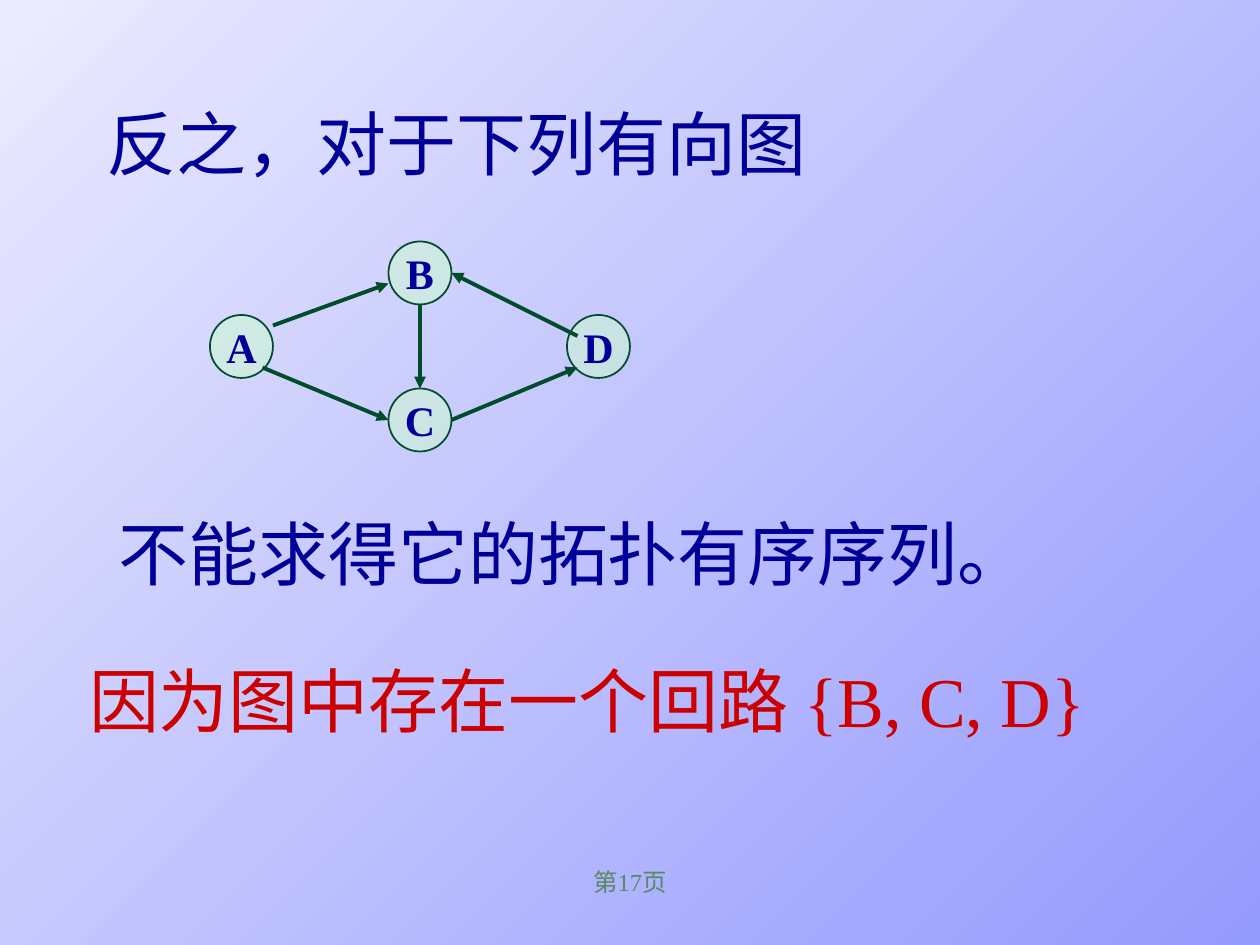
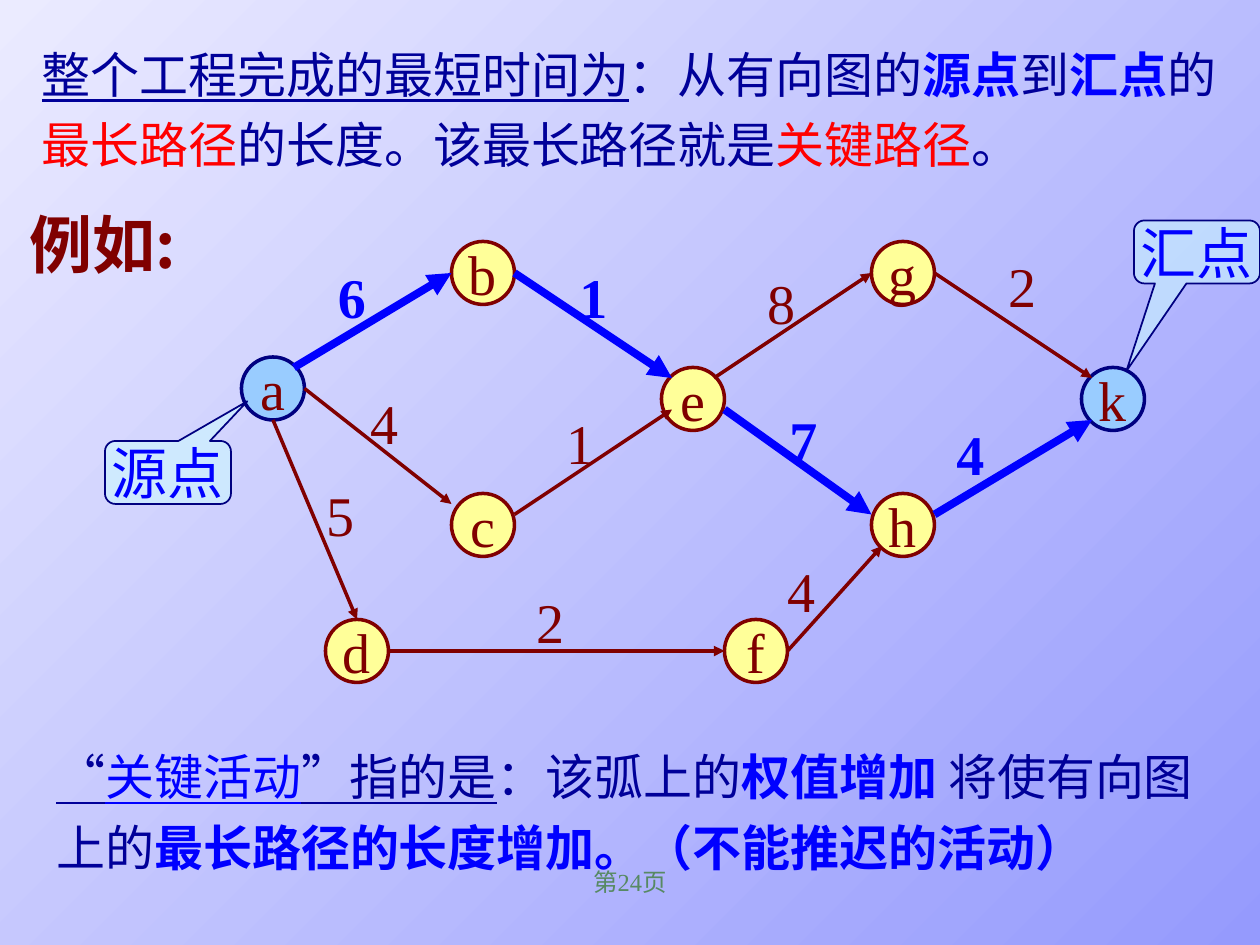
from dataclasses import dataclass
from typing import NamedTuple

from pptx import Presentation
from pptx.dml.color import RGBColor
from pptx.enum.shapes import MSO_CONNECTOR, MSO_SHAPE
from pptx.enum.text import MSO_ANCHOR, MSO_AUTO_SIZE, PP_ALIGN
from pptx.oxml.ns import qn
from pptx.util import Inches, Pt

OVAL = MSO_SHAPE.OVAL
CALLOUT = MSO_SHAPE.ROUNDED_RECTANGULAR_CALLOUT
STRAIGHT = MSO_CONNECTOR.STRAIGHT
LEFT, CENTER = PP_ALIGN.LEFT, PP_ALIGN.CENTER
TOP, MIDDLE = MSO_ANCHOR.TOP, MSO_ANCHOR.MIDDLE
FIT_SHAPE = MSO_AUTO_SIZE.SHAPE_TO_FIT_TEXT

# The page is a grid of 120 columns by 90 rows
COLUMNS, ROWS = 120, 90
WIDTH, HEIGHT = Inches(10), Inches(7.5)
NODE_SIZE = 6
LABEL_WIDTH, LABEL_HEIGHT = 5, 7.7


@dataclass(frozen=True)
class Theme:
    latin: str = "Times New Roman"
    chinese: str = "Noto Sans CJK SC"
    light: str = "EBEBFF"
    dark: str = "959AFD"
    navy: str = "000099"
    blue: str = "0000FF"
    red: str = "FF0000"
    crimson: str = "CC0000"
    maroon: str = "800000"
    edge_navy: str = "000080"
    green: str = "004C2B"
    footer: str = "578963"
    mint: str = "CCFFCC"
    yellow: str = "FFFF99"
    sky: str = "99CCFF"
    aqua: str = "CCFFFF"
    footer_size: int = 14
    node_size: int = 24
    body_size: int = 28
    label_size: int = 32
    heading_size: int = 36
    statement_size: int = 40


THEME = Theme()


class Area(NamedTuple):
    column: float
    row: float
    columns: float
    rows: float


class Span(NamedTuple):
    text: str
    color: str = THEME.navy
    bold: bool = False
    underline: bool = False


class Look(NamedTuple):
    fill: str
    line: str
    weight: float
    opacity: int = 100


class Node(NamedTuple):
    name: str
    column: float
    row: float


class Edge(NamedTuple):
    start: tuple[float, float]
    end: tuple[float, float]
    critical: bool = False


class Weight(NamedTuple):
    value: str
    column: float
    row: float
    critical: bool = False


class Callout(NamedTuple):
    text: str
    area: Area
    tip: tuple[float, float]


GREEN_NODE = Look(THEME.mint, THEME.green, 1, 50)
INNER_NODE = Look(THEME.yellow, THEME.maroon, 2)
END_NODE = Look(THEME.sky, THEME.edge_navy, 2)
NOTE = Look(THEME.aqua, THEME.edge_navy, 1, 50)


def across(columns: float) -> int:
    return round(WIDTH * columns / COLUMNS)


def down(rows: float) -> int:
    return round(HEIGHT * rows / ROWS)


def place(area: Area) -> tuple[int, int, int, int]:
    return across(area.column), down(area.row), across(area.columns), down(area.rows)


def write(box, spans: list[Span], size: int, *, align=LEFT, anchor=TOP,
          wrap: bool = False, spacing: float = 1.0, font: str = THEME.latin) -> None:
    frame = box.text_frame
    frame.word_wrap = wrap
    frame.vertical_anchor = anchor
    para = frame.paragraphs[0]
    para.alignment = align
    para.line_spacing = spacing
    for item in spans:
        span = para.add_run()
        span.text = item.text
        formats = {"name": font, "size": Pt(size), "bold": item.bold,
                   "underline": item.underline}
        for attribute, value in formats.items():
            setattr(span.font, attribute, value)
        span.font.color.rgb = RGBColor.from_string(item.color)
        properties = span.font._element
        east_asian = properties.makeelement(qn("a:ea"), {"typeface": THEME.chinese})
        properties.find(qn("a:latin")).addnext(east_asian)


def add_text(page, area: Area, spans: list[Span], size: int, **options) -> None:
    box = page.shapes.add_textbox(*place(area))
    write(box, spans, size, **options)
    box.text_frame.auto_size = FIT_SHAPE


def add_figure(page, kind, area: Area, look: Look, span: Span, size: int):
    figure = page.shapes.add_shape(kind, *place(area))
    figure.shadow.inherit = False
    figure.fill.solid()
    figure.fill.fore_color.rgb = RGBColor.from_string(look.fill)
    if look.opacity < 100:
        color = figure._element.spPr.find(qn("a:solidFill"))[0]
        color.append(color.makeelement(qn("a:alpha"), {"val": str(look.opacity * 1000)}))
    figure.line.color.rgb = RGBColor.from_string(look.line)
    figure.line.width = Pt(look.weight)
    write(figure, [span], size, align=CENTER, anchor=MIDDLE)
    return figure


def add_node(page, node: Node, look: Look, color: str, size: int, bold: bool) -> None:
    area = Area(node.column, node.row, NODE_SIZE, NODE_SIZE)
    add_figure(page, OVAL, area, look, Span(node.name, color, bold), size)


def add_arrow(page, edge: Edge, color: str, weight: float) -> None:
    (x1, y1), (x2, y2) = edge.start, edge.end
    arrow = page.shapes.add_connector(STRAIGHT, across(x1), down(y1), across(x2), down(y2))
    arrow.line.color.rgb = RGBColor.from_string(color)
    arrow.line.width = Pt(weight)
    properties = arrow._element.spPr
    line = properties.find(qn("a:ln"))
    line.append(line.makeelement(qn("a:tailEnd"), {"type": "triangle"}))
    properties.append(properties.makeelement(qn("a:effectLst"), {}))


def add_page(deck, number: int):
    page = deck.slides.add_slide(deck.slide_layouts[6])
    add_text(page, Area(41, 82, 38, 6), [Span(f"第{number}页", THEME.footer)],
             THEME.footer_size, align=CENTER, wrap=True)
    return page


def paint_background(deck) -> None:
    fill = deck.slide_master.background.fill
    fill.gradient()
    fill.gradient_angle = 315
    for stop, position, color in zip(fill.gradient_stops, (0, 1), (THEME.light, THEME.dark)):
        stop.position = position
        stop.color.rgb = RGBColor.from_string(color)


# Directed graph with a cycle
CYCLE_NODES = [Node("B", 37, 23), Node("D", 54, 30), Node("A", 20, 30), Node("C", 37, 37)]
CYCLE_EDGES = [
    Edge((26, 31), (37, 27)),
    Edge((25, 35), (37, 40)),
    Edge((43, 40), (55, 35)),
    Edge((55, 32), (43, 26)),
    Edge((40, 29), (40, 37)),
]
STATEMENTS = [
    (Area(9, 9, 69, 9.2), Span("反之，对于下列有向图")),
    (Area(10.1, 48, 88.9, 9.2), Span("不能求得它的拓扑有序序列。")),
    (Area(7.3, 62, 98.8, 9.2), Span("因为图中存在一个回路 {B, C, D}", THEME.crimson)),
]

# Project network with its critical path
SOURCE_AND_SINK = "ak"
PROJECT_NODES = [
    Node("a", 23, 34), Node("b", 43, 23), Node("c", 43, 47),
    Node("d", 31, 59), Node("e", 63, 35), Node("f", 69, 59),
    Node("g", 83, 23), Node("h", 83, 47), Node("k", 103, 35),
]
PROJECT_EDGES = [
    Edge((29, 37), (43, 48)),
    Edge((49, 49), (64, 39)),
    Edge((68, 36), (83, 26)),
    Edge((89, 26), (104, 36)),
    Edge((26, 40), (34, 59)),
    Edge((37, 62), (69, 62)),
    Edge((75, 62), (84, 52)),
    Edge((28, 35), (43, 26), True),
    Edge((49, 26), (64, 36), True),
    Edge((69, 39), (83, 49), True),
    Edge((89, 49), (104, 40), True),
]
WEIGHTS = [
    Weight("4", 34.1, 36.4), Weight("5", 29.9, 45.2), Weight("2", 49.9, 55.4),
    Weight("1", 52.8, 38.3), Weight("8", 71.9, 25), Weight("2", 94.9, 23.4),
    Weight("4", 73.8, 52.4), Weight("6", 31, 24.4, True), Weight("1", 54, 24.4, True),
    Weight("7", 74, 38, True), Weight("4", 89.9, 39.4, True),
]
CALLOUTS = [
    Callout("源点", Area(10, 42, 12, 6), (0.63, -1.13)),
    Callout("汇点", Area(108, 21, 12, 6), (-0.56, 1.89)),
]
BODY_TEXTS = [
    (Area(4.2, 69.4, 113.8, 14.6), [
        Span("“", underline=True),
        Span("关键活动", THEME.blue, underline=True),
        Span("”指的是", underline=True),
        Span("：该弧上的"),
        Span("权值增加 ", THEME.blue, True),
        Span("将使有向图上的"),
        Span("最长路径的长度增加。（不能推迟的活动）", THEME.blue, True),
    ]),
    (Area(2.8, 2.5, 115.2, 14.6), [
        Span("整个工程完成的最短时间为", underline=True),
        Span("：从有向图的"),
        Span("源点", THEME.blue, True),
        Span("到"),
        Span("汇点", THEME.blue, True),
        Span("的"),
        Span("最长路径", THEME.red),
        Span("的长度。该最长路径就是"),
        Span("关键路径", THEME.red),
        Span("。"),
    ]),
]


def build_cycle_page(deck) -> None:
    page = add_page(deck, 17)
    for node in CYCLE_NODES:
        add_node(page, node, GREEN_NODE, THEME.navy, THEME.node_size, True)
    for edge in CYCLE_EDGES:
        add_arrow(page, edge, THEME.green, 2.25)
    for area, span in STATEMENTS:
        add_text(page, area, [span], THEME.statement_size)


def build_critical_path_page(deck) -> None:
    page = add_page(deck, 24)
    for node in PROJECT_NODES:
        look = END_NODE if node.name in SOURCE_AND_SINK else INNER_NODE
        add_node(page, node, look, THEME.maroon, THEME.label_size, False)
    for edge in PROJECT_EDGES:
        color, weight = (THEME.blue, 4.5) if edge.critical else (THEME.maroon, 2)
        add_arrow(page, edge, color, weight)
    for value, column, row, critical in WEIGHTS:
        span = Span(value, THEME.blue if critical else THEME.maroon, critical)
        add_text(page, Area(column, row, LABEL_WIDTH, LABEL_HEIGHT), [span], THEME.label_size)
    add_text(page, Area(1.6, 19, 19.4, 8.4), [Span("例如:", THEME.maroon, True)],
             THEME.heading_size, font=THEME.chinese)
    for area, spans in BODY_TEXTS:
        add_text(page, area, spans, THEME.body_size, wrap=True, spacing=1.2)
    for text, area, tip in CALLOUTS:
        note = add_figure(page, CALLOUT, area, NOTE, Span(text, THEME.blue), THEME.label_size)
        for index, offset in enumerate(tip):
            note.adjustments[index] = offset


def main() -> None:
    deck = Presentation()
    deck.slide_width, deck.slide_height = WIDTH, HEIGHT
    paint_background(deck)
    build_cycle_page(deck)
    build_critical_path_page(deck)
    deck.save("out.pptx")


if __name__ == "__main__":
    main()
